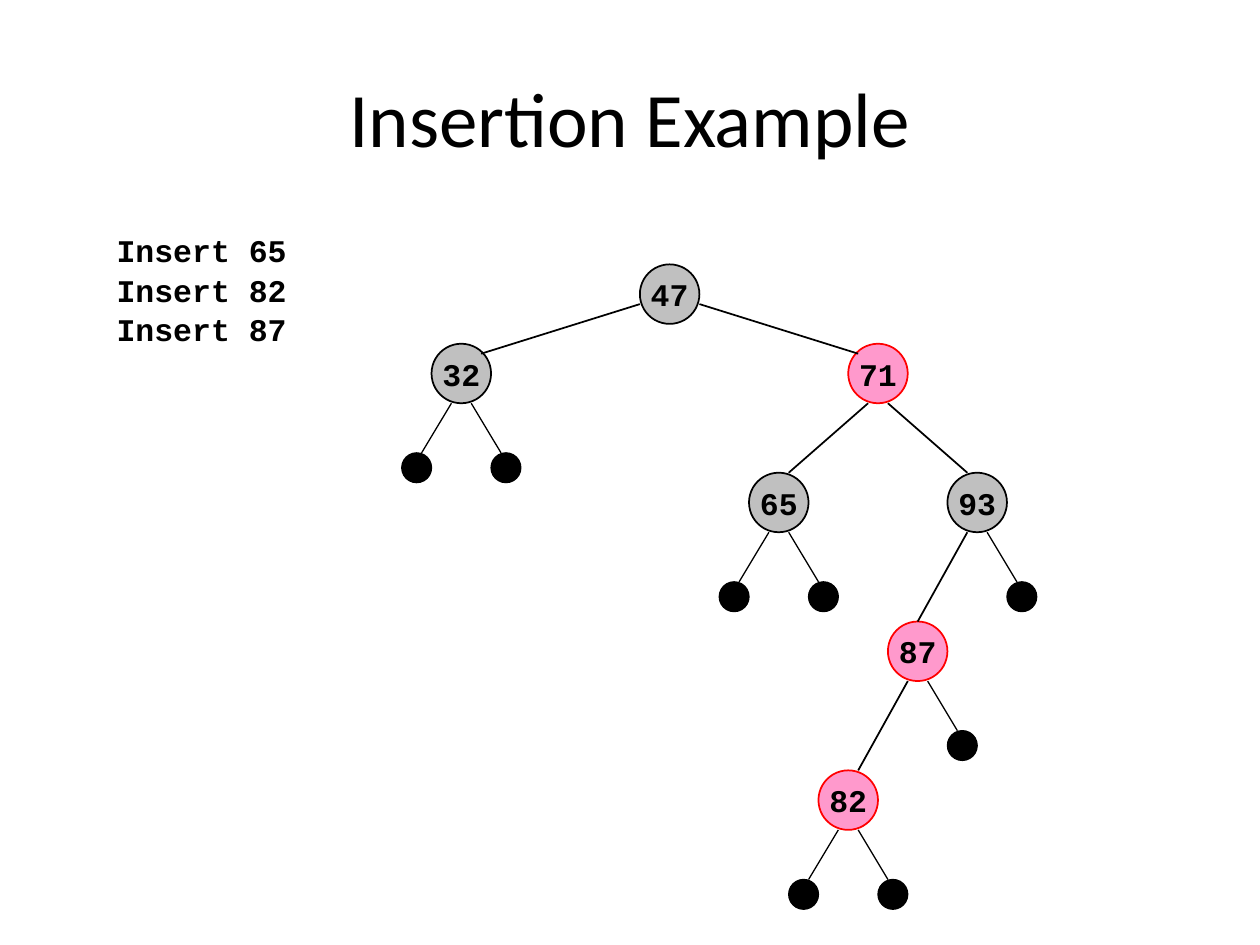
from lxml.etree import SubElement
from pptx import Presentation
from pptx.dml.color import RGBColor
from pptx.enum.shapes import MSO_CONNECTOR, MSO_SHAPE
from pptx.enum.text import MSO_ANCHOR, PP_ALIGN
from pptx.oxml.ns import qn
from pptx.util import Cm, Pt

BLACK, GRAY, PINK, RED = "000000", "C0C0C0", "FF99CC", "FF0000"
NODE, LEAF = 1.2, 0.6
LABEL = {"name": "Courier New", "size": Pt(18), "bold": True}
TITLE = {"name": "Calibri", "size": Pt(44), "bold": False}

# key: centre x, top y, is red, leaf sides
NODES = {
    "47": (5.4, 0, False, ()),
    "32": (1.2, 1.6, False, (-1, 1)),
    "71": (9.6, 1.6, True, ()),
    "65": (7.6, 4.2, False, (-1, 1)),
    "93": (11.6, 4.2, False, (1,)),
    "87": (10.4, 7.2, True, (1,)),
    "82": (9, 10.2, True, (-1, 1)),
}
# parent, child, start offset, end offset, each from centre x and top y
EDGES = [
    ("47", "32", (-0.6, 0.8), (0.4, 0.2)),
    ("47", "71", (0.6, 0.8), (-0.4, 0.2)),
    ("71", "65", (-0.2, NODE), (0.2, 0)),
    ("71", "93", (0.2, NODE), (-0.2, 0)),
    ("93", "87", (-0.2, NODE), (0, 0)),
    ("87", "82", (-0.2, NODE), (0.2, 0)),
]


def color(value):
    return RGBColor.from_string(value)


def apply(target, formats):
    for attribute, value in formats.items():
        setattr(target, attribute, value)


def write(frame, words, font, align, frame_format):
    apply(frame, frame_format)
    line = frame.paragraphs[0]
    line.alignment = align
    run = line.add_run()
    run.text = words
    apply(run.font, font)
    run.font.color.rgb = color(BLACK)


def add_circle(slide, center, top, size, fill, outline, weight):
    circle = slide.shapes.add_shape(
        MSO_SHAPE.OVAL, Cm(center - size / 2), Cm(top), Cm(size), Cm(size))
    circle.shadow.inherit = False
    circle.fill.solid()
    circle.fill.fore_color.rgb = color(fill)
    circle.line.color.rgb = color(outline)
    circle.line.width = Pt(weight)
    return circle


def add_edge(slide, start, end, weight):
    edge = slide.shapes.add_connector(
        MSO_CONNECTOR.STRAIGHT, *(Cm(value) for value in (*start, *end)))
    edge.line.color.rgb = color(BLACK)
    edge.line.width = Pt(weight)
    SubElement(edge._element.spPr, qn("a:effectLst"))
    return edge


def add_leaf(slide, center, bottom, side):
    add_edge(slide, (center + 0.2 * side, bottom),
             (center + 0.8 * side, bottom + 1), 0.75)
    add_circle(slide, center + 0.9 * side, bottom + 1, LEAF, BLACK, BLACK, 0.75)


def add_node(slide, center, top, key, is_red):
    fill, outline = (PINK, RED) if is_red else (GRAY, BLACK)
    node = add_circle(slide, center, top, NODE, fill, outline, 1)
    write(node.text_frame, key, LABEL, PP_ALIGN.CENTER, {
        "margin_left": 0, "margin_right": 0, "margin_top": 0,
        "margin_bottom": 0, "word_wrap": False,
        "vertical_anchor": MSO_ANCHOR.MIDDLE})
    return node


def add_tree(slide, left, top):
    circles = {}
    for key, (x, y, is_red, sides) in NODES.items():
        circles[key] = add_node(slide, left + x, top + y, key, is_red)
        for side in sides:
            add_leaf(slide, left + x, top + y + NODE, side)
    for parent, child, start, end in EDGES:
        points = [(left + NODES[key][0] + dx, top + NODES[key][1] + dy)
                  for key, (dx, dy) in ((parent, start), (child, end))]
        edge = add_edge(slide, *points, 1)
        if end == (0, 0):
            edge.end_connect(circles[child], 0)


def add_steps(slide, left, top, width):
    for row, value in enumerate((65, 82, 87)):
        step = slide.shapes.add_textbox(
            Cm(left), Cm(top + 0.8 * row), Cm(width), Cm(1.02))
        write(step.text_frame, f"Insert {value}", LABEL, PP_ALIGN.LEFT,
              {"word_wrap": True})


def add_title(slide, left, top, width, height):
    title = slide.shapes.title
    apply(title, {"left": Cm(left), "top": Cm(top),
                  "width": Cm(width), "height": Cm(height)})
    write(title.text_frame, "Insertion Example", TITLE, PP_ALIGN.CENTER,
          {"vertical_anchor": MSO_ANCHOR.MIDDLE})


def main():
    deck = Presentation()
    apply(deck, {"slide_width": Cm(25.4), "slide_height": Cm(19.05)})
    slide = deck.slides.add_slide(deck.slide_layouts[5])
    add_title(slide, 1.27, 0.76, 22.86, 3.18)
    add_steps(slide, 2.1, 4.53, 6.6)
    add_tree(slide, 8.1, 5.33)
    deck.save("out.pptx")


if __name__ == "__main__":
    main()
